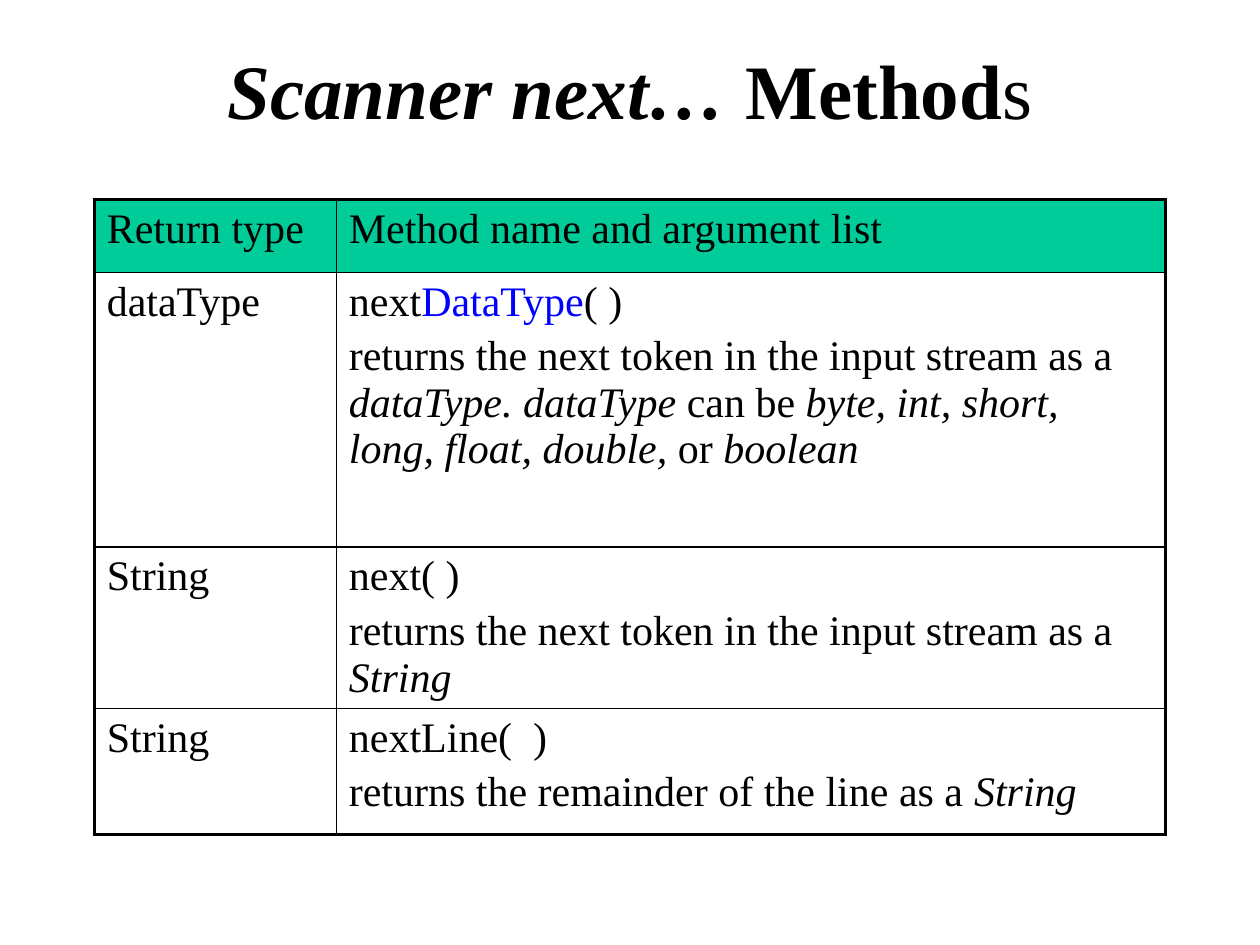
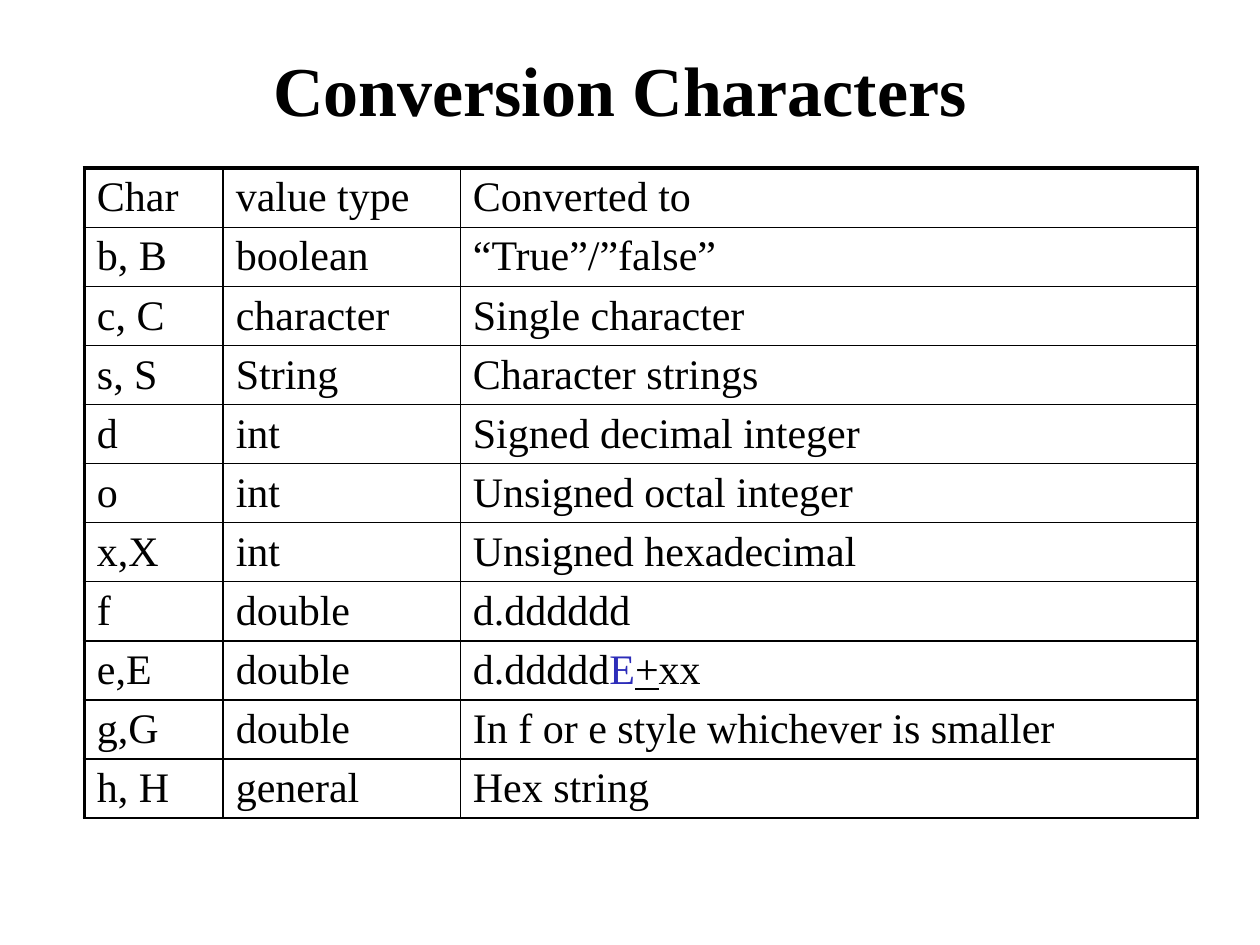
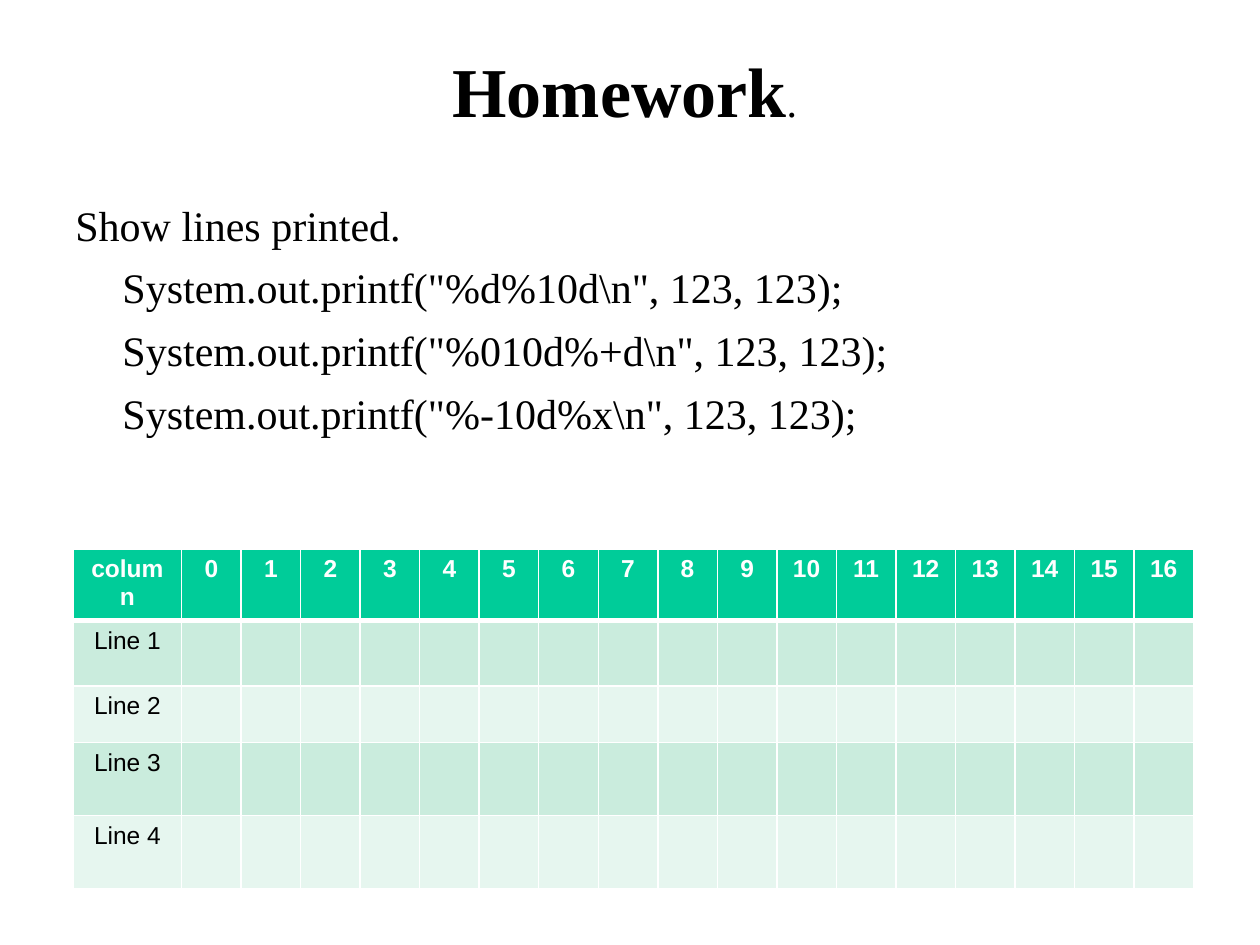
from lxml import etree
from pptx import Presentation
from pptx.dml.color import RGBColor
from pptx.enum.text import MSO_ANCHOR, MSO_AUTO_SIZE, PP_ALIGN
from pptx.oxml.ns import qn
from pptx.util import Cm, Pt

BLACK, WHITE, GREEN = "000000", "FFFFFF", "00CC99"
BANDS = ["CAECDD", "E6F6EF"]
SERIF, SANS = "Times New Roman", "Arial"
rgb = RGBColor.from_string


def add_text(p, text, size=24, font=SERIF, color=BLACK, bold=False,
             italic=False, underline=False):
    r = p.add_run()
    r.text = text
    f = r.font
    f.size, f.name, f.bold, f.italic = Pt(size), font, bold, italic
    f.underline = underline
    f.color.rgb = rgb(color)


def add_grid(s, left, top, cols, rows, h_lines, v_lines, line_color, fills):
    """Add an empty table; h_lines and v_lines give each rule's width in points,
    fills gives one colour (or None) per row."""
    table = s.shapes.add_table(len(rows), len(cols), Cm(left), Cm(top),
                               Cm(sum(cols)), Cm(sum(rows))).table
    for column, width in zip(table.columns, cols):
        column.width = Cm(width)
    for row, height in zip(table.rows, rows):
        row.height = Cm(height)
    for i, fill in enumerate(fills):
        for j in range(len(cols)):
            cell = table.cell(i, j)
            tcPr = cell._tc.get_or_add_tcPr()
            edges = {"a:lnL": v_lines[j], "a:lnR": v_lines[j + 1],
                     "a:lnT": h_lines[i], "a:lnB": h_lines[i + 1]}
            for tag, width in edges.items():
                ln = etree.SubElement(tcPr, qn(tag), w=str(Pt(width)))
                solid = etree.SubElement(ln, qn("a:solidFill"))
                etree.SubElement(solid, qn("a:srgbClr"), val=line_color)
            if fill:
                cell.fill.solid()
                cell.fill.fore_color.rgb = rgb(fill)
            else:
                cell.fill.background()
    return table


prs = Presentation()
prs.slide_width, prs.slide_height = Cm(25.4), Cm(19.05)

# Titles: position in cm, then runs with their format
titles = [
    ((1.9, 0.2, 21.6, 3.18), [
        ("Scanner next…", dict(size=44, bold=True, italic=True)),
        (" Method", dict(size=44, bold=True)),
        ("s", dict(size=44))]),
    ((1.7, 1.02, 21.6, 1.52), [
        ("Conversion Characters", dict(size=40, bold=True))]),
    ((1.9, 0.43, 21.39, 2.74), [
        ("Homework", dict(size=40, bold=True)),
        (".", dict(size=24))]),
]
slides = []
for box, runs in titles:
    s = prs.slides.add_slide(prs.slide_layouts[5])
    title = s.shapes.title
    title.left, title.top, title.width, title.height = map(Cm, box)
    tf = title.text_frame
    tf.word_wrap = True
    tf.auto_size = MSO_AUTO_SIZE.NONE
    tf.vertical_anchor = MSO_ANCHOR.MIDDLE
    p = tf.paragraphs[0]
    p.alignment = PP_ALIGN.CENTER
    for text, fmt in runs:
        add_text(p, text, **fmt)
    slides.append(s)
scanner, conversion, homework = slides

# Scanner methods: each cell is a list of paragraphs, each a list of runs
ITALIC = dict(italic=True)
methods = [
    ([[("Return type", {})]], [[("Method name and argument list", {})]]),
    ([[("dataType", {})]], [
        [("next", {}), ("DataType", dict(color="0000FF")), ("( )", {})],
        [("returns the next token in the input stream as a ", {}),
         ("dataType. dataType ", ITALIC), ("can be ", {}),
         ("byte, int, short, long, float, double,", ITALIC),
         (" or ", {}), ("boolean", ITALIC)]]),
    ([[("String", {})]], [
        [("next( )", {})],
        [("returns the next token in the input stream as a ", {}),
         ("String", ITALIC)]]),
    ([[("String", {})]], [
        [("nextLine(  )", {})],
        [("returns the remainder of the line as a ", {}),
         ("String", ITALIC)]]),
]
table = add_grid(scanner, 1.9, 4.02, [4.88, 16.71], [1.47, 5.54, 3.25, 2.54],
                 [2.25, 1, 1, 1, 2.25], [2.25, 1, 2.25], BLACK,
                 [GREEN, None, None, None])
for i, row in enumerate(methods):
    for j, paragraphs in enumerate(row):
        tf = table.cell(i, j).text_frame
        for k, runs in enumerate(paragraphs):
            p = tf.add_paragraph() if k else tf.paragraphs[0]
            if k:
                p.space_before = Pt(4.8)
            for text, fmt in runs:
                add_text(p, text, **fmt)

# Conversion characters
exponent = [("d.ddddd", {}), ("E", dict(color="2D2DB9")),
            ("+", dict(underline=True)), ("xx", {})]
conversions = [
    ("Char", "value type", "Converted to"),
    ("b, B", "boolean", "“True”/”false”"),
    ("c, C", "character", "Single character"),
    ("s, S", "String", "Character strings"),
    ("d", "int", "Signed decimal integer"),
    ("o", "int", "Unsigned octal integer"),
    ("x,X", "int", "Unsigned hexadecimal"),
    ("f", "double", "d.dddddd"),
    ("e,E", "double", exponent),
    ("g,G", "double", "In f or e style whichever is smaller"),
    ("h, H", "general", "Hex string"),
]
count = len(conversions)
table = add_grid(conversion, 1.7, 3.39, [2.8, 4.78, 14.86], [1.19] * count,
                 [2.25] + [1] * count, [2.25, 1, 1, 2.25], BLACK, [None] * count)
for i, row in enumerate(conversions):
    for j, content in enumerate(row):
        runs = [(content, {})] if isinstance(content, str) else content
        for text, fmt in runs:
            add_text(table.cell(i, j).text_frame.paragraphs[0], text, **fmt)

# Homework: the statements, then the answer grid
statements = [
    "Show lines printed.",
    'System.out.printf("%d%10d\\n", 123, 123);',
    'System.out.printf("%010d%+d\\n", 123, 123);',
    'System.out.printf("%‑10d%x\\n", 123, 123);',
]
tf = homework.shapes.add_textbox(Cm(1.27), Cm(3.81), Cm(23.06), Cm(6.35)).text_frame
tf.word_wrap = True
for i, text in enumerate(statements):
    p = tf.add_paragraph() if i else tf.paragraphs[0]
    p.line_spacing = 1.08
    if i:
        p.space_before = Pt(4.8)
        p._p.get_or_add_pPr().set("marL", str(Cm(0.95)))
    add_text(p, text)

positions = 17
table = add_grid(homework, 1.48, 11.07, [2.18] + [1.2] * positions,
                 [1.35, 1.32, 1.14, 1.47, 1.47], [1, 3, 1, 1, 1, 1],
                 [1] * (positions + 2), WHITE, [GREEN] + BANDS * 2)
for j, text in enumerate(["column", *map(str, range(positions))]):
    p = table.cell(0, j).text_frame.paragraphs[0]
    p.alignment = PP_ALIGN.CENTER
    add_text(p, text, size=14, font=SANS, color=WHITE, bold=True)
for i in range(1, 5):
    p = table.cell(i, 0).text_frame.paragraphs[0]
    p.alignment = PP_ALIGN.CENTER
    add_text(p, f"Line {i}", size=14, font=SANS)

prs.save("out.pptx")
